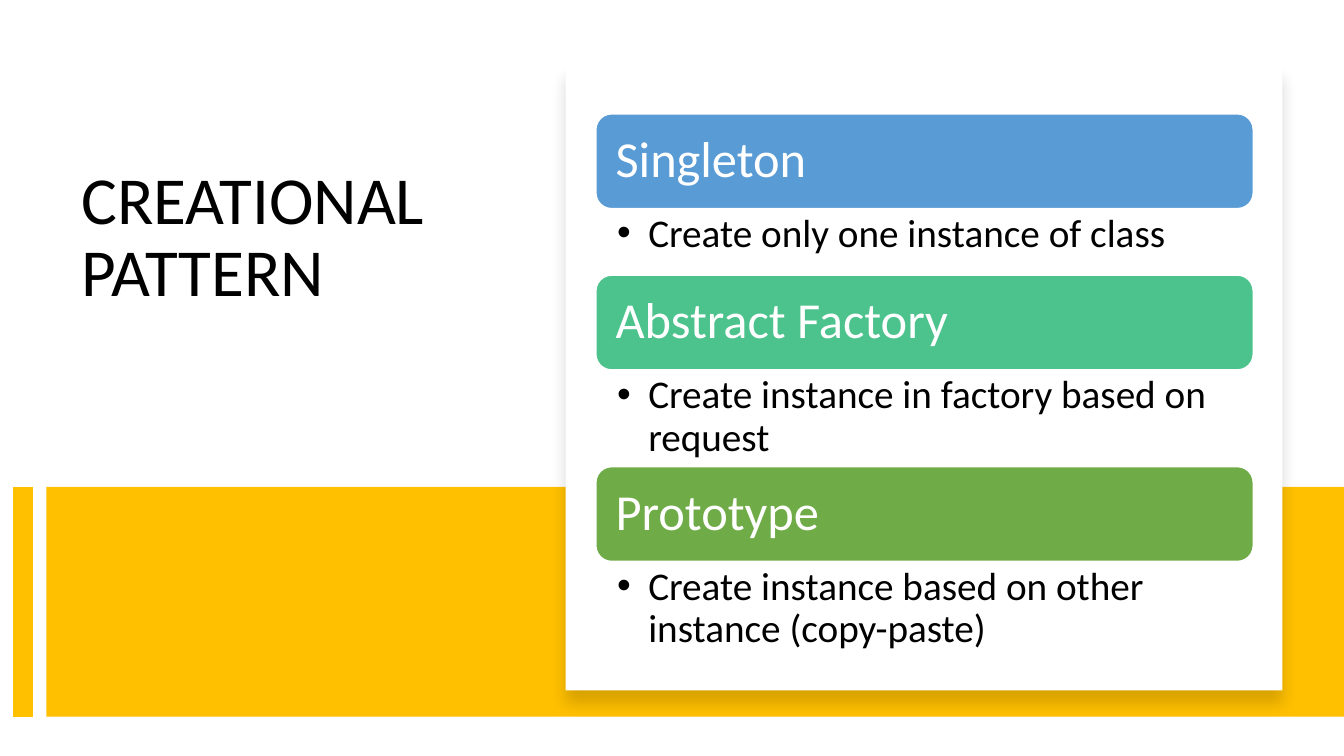
from typing import NamedTuple

from lxml.etree import SubElement
from pptx import Presentation
from pptx.dml.color import RGBColor
from pptx.enum.shapes import MSO_CONNECTOR, MSO_SHAPE
from pptx.enum.text import MSO_ANCHOR, MSO_AUTO_SIZE, PP_ALIGN
from pptx.oxml.ns import qn
from pptx.shapes.autoshape import Shape
from pptx.slide import Slide
from pptx.text.text import TextFrame
from pptx.util import Emu, Pt

FONT = "Calibri"
BLACK, WHITE, GOLD = "000000", "FFFFFF", "FFC000"
LIST_LEFT, LIST_TOP, LIST_WIDTH = 591, 113, 652
HEADING_HEIGHT = 94
BAND_TOP, BAND_HEIGHT = 483, 228


class Pattern(NamedTuple):
    name: str
    purpose: str
    color: str
    purpose_height: int


PATTERNS = [
    Pattern("Singleton", "Create only one instance of class", "599BD5", 66),
    Pattern("Abstract Factory", "Create instance in factory based on request", "4CC38C", 96),
    Pattern("Prototype", "Create instance based on other instance (copy-paste)", "6FAB46", 96),
]


def px(n: int) -> Emu:
    """Convert px, at 100 to the inch, into EMU."""
    return Emu(n * 9144)


def rgb(color: str) -> RGBColor:
    return RGBColor.from_string(color)


def add_box(s: Slide, kind: MSO_SHAPE, x: int, y: int, w: int, h: int, fill: str) -> Shape:
    sp = s.shapes.add_shape(kind, px(x), px(y), px(w), px(h))
    sp.shadow.inherit = False
    sp.fill.solid()
    sp.fill.fore_color.rgb = rgb(fill)
    sp.line.fill.background()
    return sp


def set_text(tf: TextFrame, text: str, size: int, color: str,
             insets: tuple[int, int, int, int], anchor: MSO_ANCHOR,
             bullet: bool = False) -> None:
    """Fill a frame with one left-aligned paragraph; insets run left, top, right, bottom."""
    tf.word_wrap = True
    tf.auto_size = MSO_AUTO_SIZE.NONE
    tf.vertical_anchor = anchor
    tf.margin_left, tf.margin_top, tf.margin_right, tf.margin_bottom = map(px, insets)
    p = tf.paragraphs[0]
    p.alignment = PP_ALIGN.LEFT
    p.line_spacing = 0.9
    if bullet:
        pPr = p._p.get_or_add_pPr()
        pPr.set("marL", str(px(31)))
        pPr.set("indent", str(px(-31)))
        SubElement(SubElement(pPr, qn("a:buClr")), qn("a:srgbClr"), val=color)
        SubElement(pPr, qn("a:buFont"), typeface="Arial")
        SubElement(pPr, qn("a:buChar"), char="•")
    r = p.add_run()
    r.text = text
    r.font.name = FONT
    r.font.size = Pt(size)
    r.font.color.rgb = rgb(color)


def add_title(s: Slide) -> None:
    sp = s.shapes.title
    sp.left, sp.top, sp.width, sp.height = map(px, (71, 160, 415, 294))
    set_text(sp.text_frame, "CREATIONAL PATTERN", 48, BLACK, (10, 5, 10, 5), MSO_ANCHOR.TOP)


def add_gold_band(s: Slide) -> None:
    add_box(s, MSO_SHAPE.RECTANGLE, 46, BAND_TOP, 1287, BAND_HEIGHT, GOLD)
    bar = s.shapes.add_connector(MSO_CONNECTOR.STRAIGHT, px(23), px(BAND_TOP),
                                 px(23), px(BAND_TOP + BAND_HEIGHT))
    bar.line.color.rgb = rgb(GOLD)
    bar.line.width = Pt(14)
    SubElement(bar._element.spPr, qn("a:effectLst"))


def add_card(s: Slide) -> None:
    card = add_box(s, MSO_SHAPE.RECTANGLE, 561, 64, 711, 621, WHITE)
    effects = card._element.spPr.find(qn("a:effectLst"))
    shadow = SubElement(effects, qn("a:outerShdw"), blurRad=str(Pt(11)), dist=str(Pt(10)),
                        dir="5400000", algn="t", rotWithShape="0")
    color = SubElement(shadow, qn("a:srgbClr"), val=BLACK)
    SubElement(color, qn("a:alpha"), val="15000")


def add_pattern(s: Slide, pattern: Pattern, top: int) -> None:
    heading = add_box(s, MSO_SHAPE.ROUNDED_RECTANGLE, LIST_LEFT, top, LIST_WIDTH,
                      HEADING_HEIGHT, pattern.color)
    heading.line.color.rgb = rgb(WHITE)
    heading.line.width = Pt(1)
    set_text(heading.text_frame, pattern.name, 36, WHITE, (15, 15, 15, 15), MSO_ANCHOR.MIDDLE)
    purpose = s.shapes.add_textbox(px(LIST_LEFT), px(top + HEADING_HEIGHT),
                                   px(LIST_WIDTH), px(pattern.purpose_height))
    set_text(purpose.text_frame, pattern.purpose, 28, BLACK, (21, 5, 28, 5),
             MSO_ANCHOR.TOP, bullet=True)


def main() -> None:
    prs = Presentation()
    prs.slide_width, prs.slide_height = px(1333), px(750)
    s = prs.slides.add_slide(prs.slide_layouts.get_by_name("Title Only"))
    add_title(s)
    add_gold_band(s)
    add_card(s)
    top = LIST_TOP
    for pattern in PATTERNS:
        add_pattern(s, pattern, top)
        top += HEADING_HEIGHT + pattern.purpose_height
    prs.save("out.pptx")


if __name__ == "__main__":
    main()
